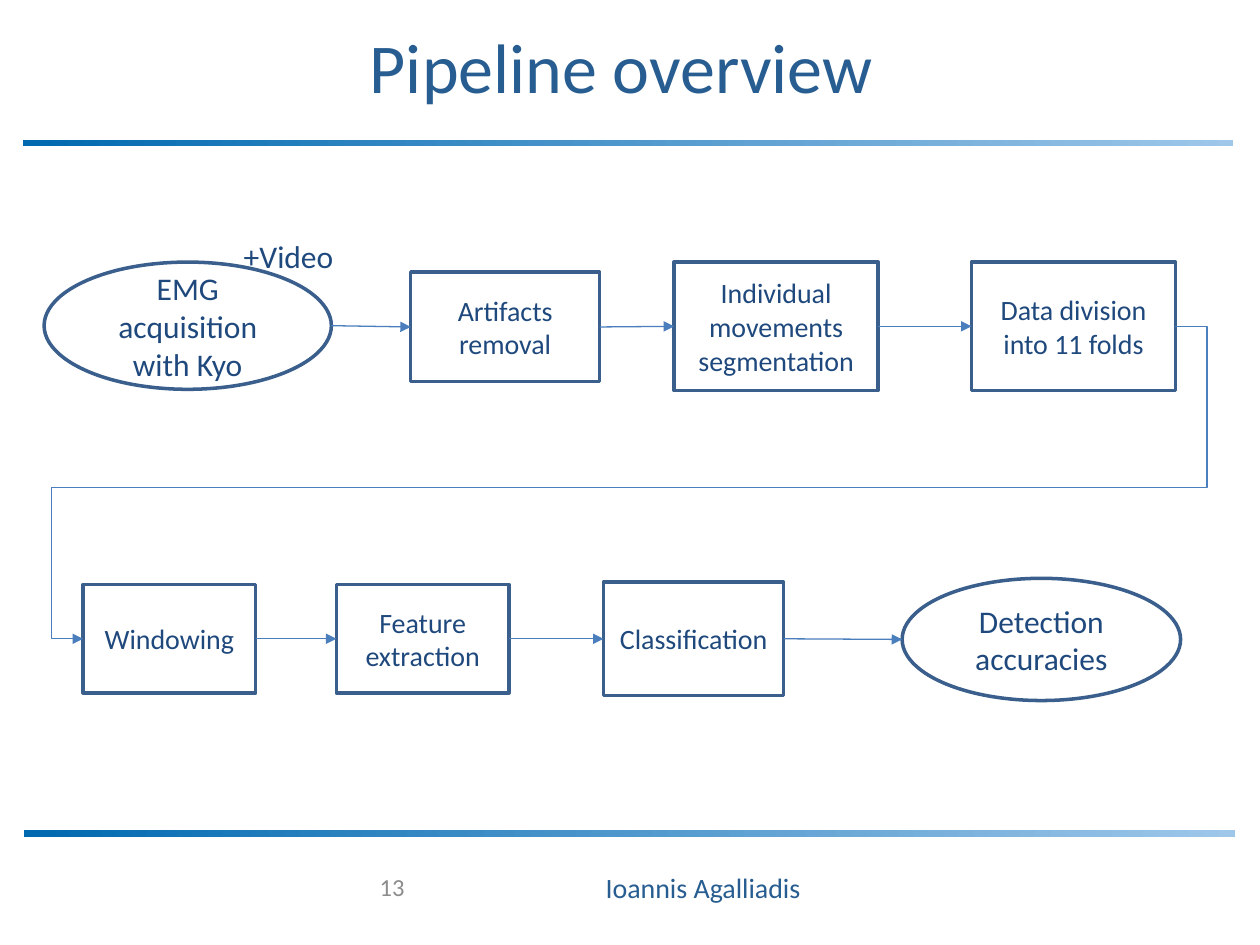
from itertools import pairwise

from lxml.etree import SubElement
from pptx import Presentation
from pptx.dml.color import RGBColor
from pptx.enum.shapes import MSO_CONNECTOR as CXN, MSO_SHAPE as SHP
from pptx.enum.text import MSO_ANCHOR as ANC, PP_ALIGN as AL
from pptx.oxml.ns import qn
from pptx.util import Pt

PX = 9144
TITLE_BLUE = RGBColor(0x27, 0x5D, 0x90)
TEXT_BLUE = RGBColor(0x1F, 0x49, 0x7D)
BORDER_BLUE = RGBColor(0x3A, 0x5F, 0x8C)
ARROW_BLUE = RGBColor(0x4B, 0x7E, 0xBC)
BAR_DARK = RGBColor(0x00, 0x69, 0xAF)
BAR_LIGHT = RGBColor(0x9E, 0xC7, 0xEA)
GREY = RGBColor(0x8C, 0x8C, 0x8C)

TOP_ROW = [
    (SHP.OVAL, "EMG acquisition with Kyo", (35, 208, 228, 101)),
    (SHP.RECTANGLE, "Artifacts removal", (326, 216, 150, 87)),
    (SHP.RECTANGLE, "Individual movements segmentation", (535, 208, 162, 102)),
    (SHP.RECTANGLE, "Data division into 11 folds", (771, 208, 162, 102)),
]
BOTTOM_ROW = [
    (SHP.RECTANGLE, "Windowing", (66, 464, 137, 86)),
    (SHP.RECTANGLE, "Feature extraction", (267, 464, 137, 86)),
    (SHP.RECTANGLE, "Classification", (479, 462, 143, 90)),
    (SHP.OVAL, "Detection accuracies", (716, 459, 221, 97)),
]


class Deck:
    font = "Calibri"

    def __init__(self, width, height):
        self.prs = Presentation()
        self.prs.slide_width = width * PX
        self.prs.slide_height = height * PX
        self.s = self.prs.slides.add_slide(self.prs.slide_layouts[6])

    def label(self, sp, text, size, color, align=AL.CENTER):
        tf = sp.text_frame
        frame = {"word_wrap": True, "vertical_anchor": ANC.MIDDLE}
        for name, value in frame.items():
            setattr(tf, name, value)
        p = tf.paragraphs[0]
        p.alignment = align
        r = p.add_run()
        r.text = text
        for name, value in {"name": self.font, "size": Pt(size)}.items():
            setattr(r.font, name, value)
        r.font.color.rgb = color

    def text(self, box, text, size, color, align=AL.CENTER):
        sp = self.s.shapes.add_textbox(*(v * PX for v in box))
        self.label(sp, text, size, color, align)

    def shape(self, kind, box):
        sp = self.s.shapes.add_shape(kind, *(v * PX for v in box))
        sp.shadow.inherit = False
        return sp

    def bar(self, box):
        sp = self.shape(SHP.RECTANGLE, box)
        sp.line.fill.background()
        sp.fill.gradient()
        sp.fill.gradient_angle = 0
        for stop, color in zip(sp.fill.gradient_stops, (BAR_DARK, BAR_LIGHT)):
            stop.color.rgb = color

    def node(self, kind, text, box, border=True):
        sp = self.shape(kind, box)
        sp.fill.background()
        if border:
            sp.line.color.rgb = BORDER_BLUE
            sp.line.width = Pt(2)
        else:
            sp.line.fill.background()
        self.label(sp, text, 18 if kind == SHP.OVAL else 16, TEXT_BLUE)
        return sp

    def arrow(self, a, b, kind=CXN.STRAIGHT):
        c = self.s.shapes.add_connector(
            kind,
            a.left + a.width, a.top + a.height // 2,
            b.left, b.top + b.height // 2,
        )
        c.line.color.rgb = ARROW_BLUE
        c.line.width = Pt(0.75)
        sp_pr = c._element.spPr
        SubElement(sp_pr.find(qn("a:ln")), qn("a:tailEnd"), type="triangle")
        SubElement(sp_pr, qn("a:effectLst"))
        return c

    def row_break(self, a, b, bends):
        c = self.arrow(a, b, CXN.ELBOW)
        geom = c._element.spPr.find(qn("a:prstGeom"))
        geom.set("prst", "bentConnector5")
        av = geom.find(qn("a:avLst"))
        if av is None:
            av = SubElement(geom, qn("a:avLst"))
        for i, bend in enumerate(bends, 1):
            SubElement(av, qn("a:gd"), name=f"adj{i}", fmla=f"val {bend}")

    def row(self, nodes):
        shapes = [self.node(*n) for n in nodes]
        for a, b in pairwise(shapes):
            self.arrow(a, b)
        return shapes


def main():
    deck = Deck(1000, 750)
    deck.bar((19, 659, 961, 5))
    deck.bar((18, 111, 961, 5))
    deck.text((43, 5, 900, 94), "Pipeline overview", 40, TITLE_BLUE)
    deck.text((341, 684, 434, 40), "Ioannis Agalliadis", 16, TITLE_BLUE)
    deck.text((98, 684, 233, 40), "13", 14, GREY, AL.RIGHT)
    top = deck.row(TOP_ROW)
    bottom = deck.row(BOTTOM_ROW)
    deck.row_break(top[-1], bottom[0], (-2900, 51600, 102900))
    deck.node(SHP.OVAL, "+Video", (158, 164, 142, 78), border=False)
    deck.prs.save("out.pptx")


if __name__ == "__main__":
    main()
